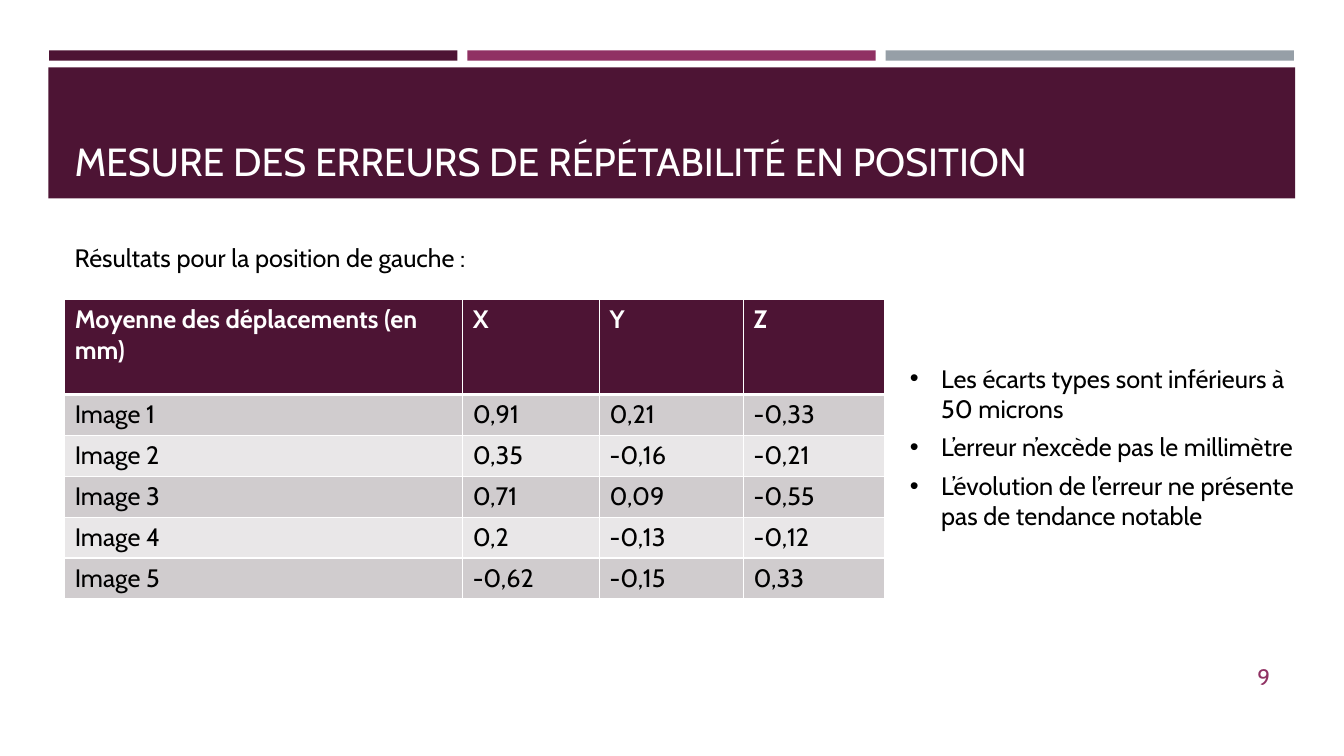
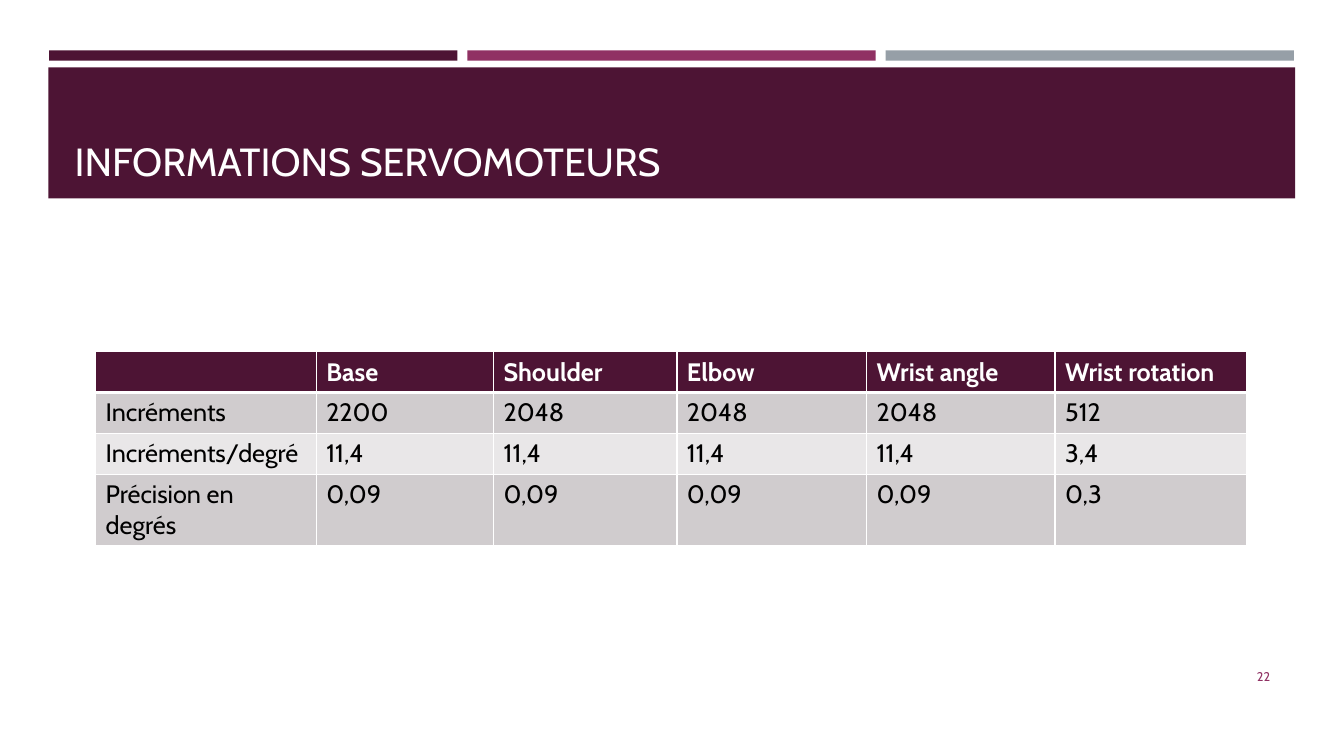
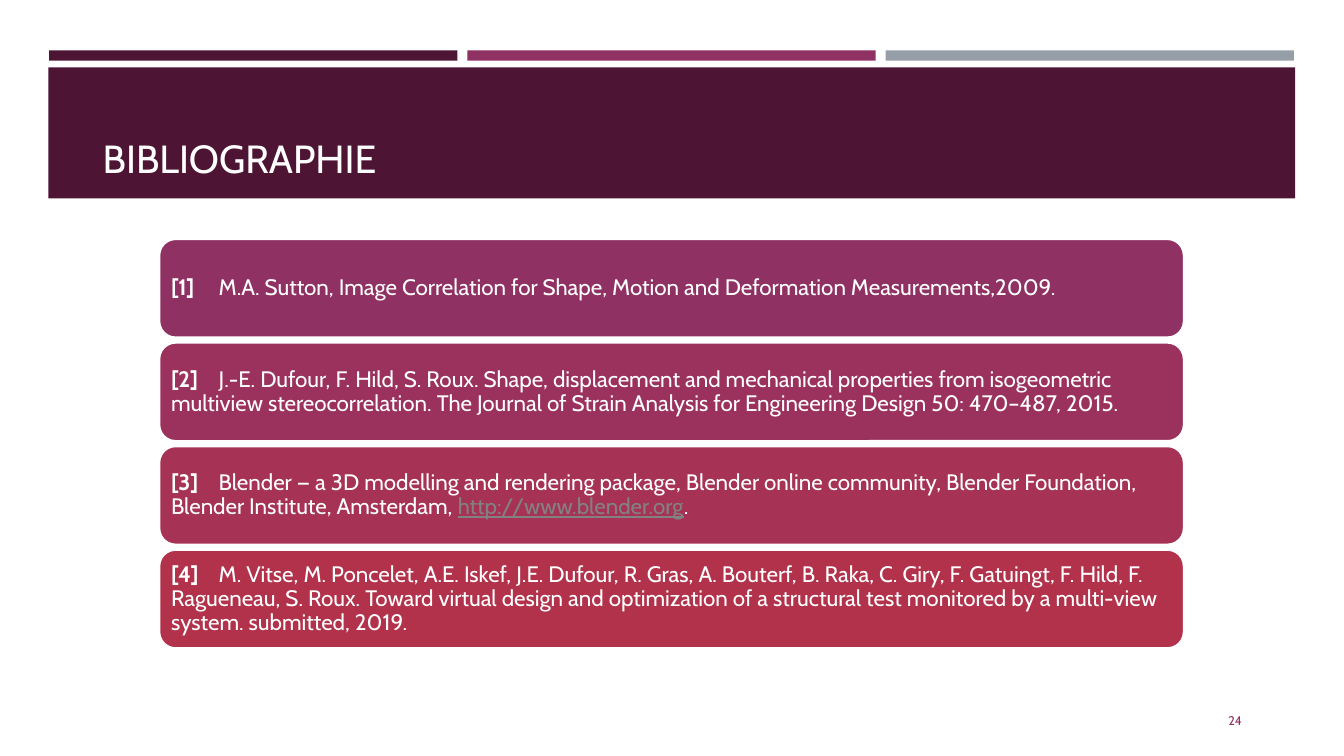
from dataclasses import dataclass

import lxml.etree
import pptx
import pptx.dml.color
import pptx.enum.shapes
import pptx.enum.text
import pptx.oxml.ns
import pptx.shapes.autoshape
import pptx.slide
import pptx.table
import pptx.text.text
import pptx.util

Cm = pptx.util.Cm
Pt = pptx.util.Pt
qn = pptx.oxml.ns.qn
ALIGN = pptx.enum.text.PP_ALIGN
ANCHOR = pptx.enum.text.MSO_ANCHOR
SHAPE = pptx.enum.shapes.MSO_SHAPE

FONT = "Cabin"
COLOURS = {
    "plum": "4D1434",
    "magenta": "903163",
    "grey": "969FA7",
    "white": "FFFFFF",
    "black": "000000",
    "row_dark": "D0CCCE",
    "row_light": "E9E7E8",
    "link": "828282",
    "reference_1": "903163",
    "reference_2": "9B325D",
    "reference_3": "A63256",
    "reference_4": "B2324B",
}


@dataclass(frozen=True)
class Area:
    """A rectangle on the slide, in centimetres."""
    left: float
    top: float
    width: float
    height: float

    def lengths(self) -> tuple[int, int, int, int]:
        return Cm(self.left), Cm(self.top), Cm(self.width), Cm(self.height)


@dataclass(frozen=True)
class Grid:
    """A table: its corner, column widths, row heights and rows of text."""
    left: float
    top: float
    columns: tuple[float, ...]
    heights: tuple[float, ...]
    rows: tuple[tuple[str, ...], ...]


@dataclass(frozen=True)
class Reference:
    label: str
    text: str
    link: str = ""
    ending: str = ""


TITLE_AREA = Area(1.63, 1.96, 30.63, 2.82)
NUMBER_AREA = Area(29.34, 16.54, 2.92, 1.02)

DISPLACEMENTS = Grid(
    1.63, 7.54, (10.03, 3.45, 3.63, 3.56), (2.4,) + (1.03,) * 5,
    (
        ("Moyenne des déplacements (en mm)", "X", "Y", "Z"),
        ("Image 1", "0,91", "0,21", "-0,33"),
        ("Image 2", "0,35", "-0,16", "-0,21"),
        ("Image 3", "0,71", "0,09", "-0,55"),
        ("Image 4", "0,2", "-0,13", "-0,12"),
        ("Image 5", "-0,62", "-0,15", "0,33"),
    ),
)
SERVOMOTORS = Grid(
    2.41, 8.86, (5.56, 4.47, 4.62, 4.78, 4.75, 4.83), (1.03, 1.03, 1.03, 1.79),
    (
        ("", "Base", "Shoulder", "Elbow", "Wrist angle", "Wrist rotation"),
        ("Incréments", "2200", "2048", "2048", "2048", "512"),
        ("Incréments/degré", "11,4", "11,4", "11,4", "11,4", "3,4"),
        ("Précision en degrés", "0,09", "0,09", "0,09", "0,09", "0,3"),
    ),
)
FINDINGS = (
    "Les écarts types sont inférieurs à 50 microns",
    "L’erreur n’excède pas le millimètre",
    "L’évolution de l’erreur ne présente pas de tendance notable",
)
REFERENCES = (
    Reference("[1]", "M.A. Sutton, Image Correlation for Shape, Motion and "
              "Deformation Measurements,2009."),
    Reference("[2]", "J.-E. Dufour, F. Hild, S. Roux. Shape, displacement and "
              "mechanical properties from isogeometric multiview "
              "stereocorrelation. The Journal of Strain Analysis for "
              "Engineering Design 50: 470–487, 2015."),
    Reference("[3]", "Blender — a 3D modelling and rendering package, Blender "
              "online community, Blender Foundation, Blender Institute, "
              "Amsterdam, ", "http://www.blender.org", "."),
    Reference("[4]", "M. Vitse, M. Poncelet, A.E. Iskef, J.E. Dufour, R. Gras, "
              "A. Bouterf, B. Raka, C. Giry, F. Gatuingt, F. Hild, "
              "F. Ragueneau, S. Roux. Toward virtual design and optimization "
              "of a structural test monitored by a multi-view system. "
              "submitted, 2019."),
)


def rgb(name: str) -> pptx.dml.color.RGBColor:
    return pptx.dml.color.RGBColor.from_string(COLOURS[name])


# Text
def add_text(para: pptx.text.text._Paragraph, text: str, *, size: float = 18,
             colour: str = "black", bold: bool = False,
             underline: bool = False) -> None:
    span = para.add_run()
    span.text = text
    span.font.name = FONT
    span.font.size = Pt(size)
    span.font.bold = bold
    span.font.underline = underline
    span.font.color.rgb = rgb(colour)


def add_box(page: pptx.slide.Slide, area: Area,
            anchor: ANCHOR = ANCHOR.TOP) -> pptx.text.text.TextFrame:
    frame = page.shapes.add_textbox(*area.lengths()).text_frame
    frame.word_wrap = True
    frame.vertical_anchor = anchor
    return frame


def set_bullet(para: pptx.text.text._Paragraph, indent: float) -> None:
    properties = para._p.get_or_add_pPr()
    properties.set("marL", str(Cm(indent)))
    properties.set("indent", str(-Cm(indent)))
    font = lxml.etree.SubElement(properties, qn("a:buFont"))
    font.set("typeface", "Arial")
    lxml.etree.SubElement(properties, qn("a:buChar")).set("char", "•")


def set_tab(para: pptx.text.text._Paragraph, position: float) -> None:
    stops = lxml.etree.SubElement(para._p.get_or_add_pPr(), qn("a:tabLst"))
    stop = lxml.etree.SubElement(stops, qn("a:tab"))
    stop.set("pos", str(Cm(position)))
    stop.set("algn", "l")


# Shapes and tables
def add_block(page: pptx.slide.Slide, area: Area, fill: str,
              kind: SHAPE = SHAPE.RECTANGLE) -> pptx.shapes.autoshape.Shape:
    block = page.shapes.add_shape(kind, *area.lengths())
    block.shadow.inherit = False
    block.fill.solid()
    block.fill.fore_color.rgb = rgb(fill)
    block.line.fill.background()
    return block


def set_borders(cell: pptx.table._Cell, top: float, bottom: float) -> None:
    properties = cell._tc.get_or_add_tcPr()
    widths = {"a:lnL": 1, "a:lnR": 1, "a:lnT": top, "a:lnB": bottom}
    for position, (tag, width) in enumerate(widths.items()):
        line = lxml.etree.Element(qn(tag), w=str(Pt(width)))
        fill = lxml.etree.SubElement(line, qn("a:solidFill"))
        lxml.etree.SubElement(fill, qn("a:srgbClr")).set("val", COLOURS["white"])
        properties.insert(position, line)


def add_grid(page: pptx.slide.Slide, grid: Grid) -> None:
    area = Area(grid.left, grid.top, sum(grid.columns), sum(grid.heights))
    table = page.shapes.add_table(
        len(grid.rows), len(grid.columns), *area.lengths()).table
    table.horz_banding = False
    for column, width in zip(table.columns, grid.columns):
        column.width = Cm(width)
    for index, (row, height, texts) in enumerate(
            zip(table.rows, grid.heights, grid.rows)):
        row.height = Cm(height)
        header = index == 0
        fill = "plum" if header else ("row_light", "row_dark")[index % 2]
        for cell, text in zip(row.cells, texts):
            cell.fill.solid()
            cell.fill.fore_color.rgb = rgb(fill)
            set_borders(cell, top=3 if index == 1 else 1, bottom=3 if header else 1)
            if text:
                add_text(cell.text_frame.paragraphs[0], text, bold=header,
                         colour="white" if header else "black")


# What every slide shares
def add_page(deck: pptx.presentation.Presentation, title: str, number: int, *,
             title_area: Area = TITLE_AREA, number_area: Area = NUMBER_AREA,
             number_size: float = 9) -> pptx.slide.Slide:
    page = deck.slides.add_slide(deck.slide_layouts[6])
    for index, colour in enumerate(("plum", "magenta", "grey")):
        add_block(page, Area(1.24 + index * 10.54, 1.27, 10.29, 0.26), colour)
    add_block(page, Area(1.22, 1.7, 31.42, 3.3), "plum")
    heading = add_box(page, title_area, ANCHOR.BOTTOM)
    add_text(heading.paragraphs[0], title, size=28, colour="white")
    para = add_box(page, number_area, ANCHOR.MIDDLE).paragraphs[0]
    para.alignment = ALIGN.RIGHT
    add_text(para, str(number), size=number_size, colour="magenta")
    return page


# Slides
def add_repeatability(deck: pptx.presentation.Presentation) -> None:
    page = add_page(deck, "MESURE DES ERREURS DE RÉPÉTABILITÉ EN POSITION", 9,
                    number_size=16)
    add_grid(page, DISPLACEMENTS)
    caption = add_box(page, Area(1.63, 5.97, 13.23, 1.02))
    add_text(caption.paragraphs[0], "Résultats pour la position de gauche :")
    frame = add_box(page, Area(22.68, 9.02, 10.57, 4.52))
    for index, finding in enumerate(FINDINGS):
        para = frame.add_paragraph() if index else frame.paragraphs[0]
        set_bullet(para, 0.79)
        if index:
            para.space_before = Pt(6)
        add_text(para, finding)


def add_servomotors(deck: pptx.presentation.Presentation) -> None:
    add_grid(add_page(deck, "INFORMATIONS SERVOMOTEURS", 22), SERVOMOTORS)


def add_bibliography(deck: pptx.presentation.Presentation) -> None:
    page = add_page(deck, "BIBLIOGRAPHIE", 24,
                    title_area=Area(2.34, 1.02, 29.21, 3.68),
                    number_area=Area(23.93, 17.65, 7.62, 1.02))
    for index, reference in enumerate(REFERENCES):
        block = add_block(page, Area(4.01, 6.02 + index * 2.61, 25.83, 2.49),
                          f"reference_{index + 1}", SHAPE.ROUNDED_RECTANGLE)
        block.line.color.rgb = rgb("white")
        block.line.width = Pt(1.75)
        frame = block.text_frame
        frame.word_wrap = True
        frame.vertical_anchor = ANCHOR.MIDDLE
        frame.margin_left = frame.margin_right = Cm(0.18)
        frame.margin_top = frame.margin_bottom = Cm(0.18)
        para = frame.paragraphs[0]
        set_tab(para, 1.2)
        para.alignment = ALIGN.LEFT
        para.line_spacing = 0.9
        add_text(para, reference.label, size=16, colour="white", bold=True)
        add_text(para, "\t" + reference.text, size=16, colour="white")
        if reference.link:
            add_text(para, reference.link, size=16, colour="link", underline=True)
            add_text(para, reference.ending, size=16, colour="white")


def main() -> None:
    deck = pptx.Presentation()
    deck.slide_width, deck.slide_height = Cm(33.87), Cm(19.05)
    add_repeatability(deck)
    add_servomotors(deck)
    add_bibliography(deck)
    deck.save("out.pptx")


if __name__ == "__main__":
    main()
